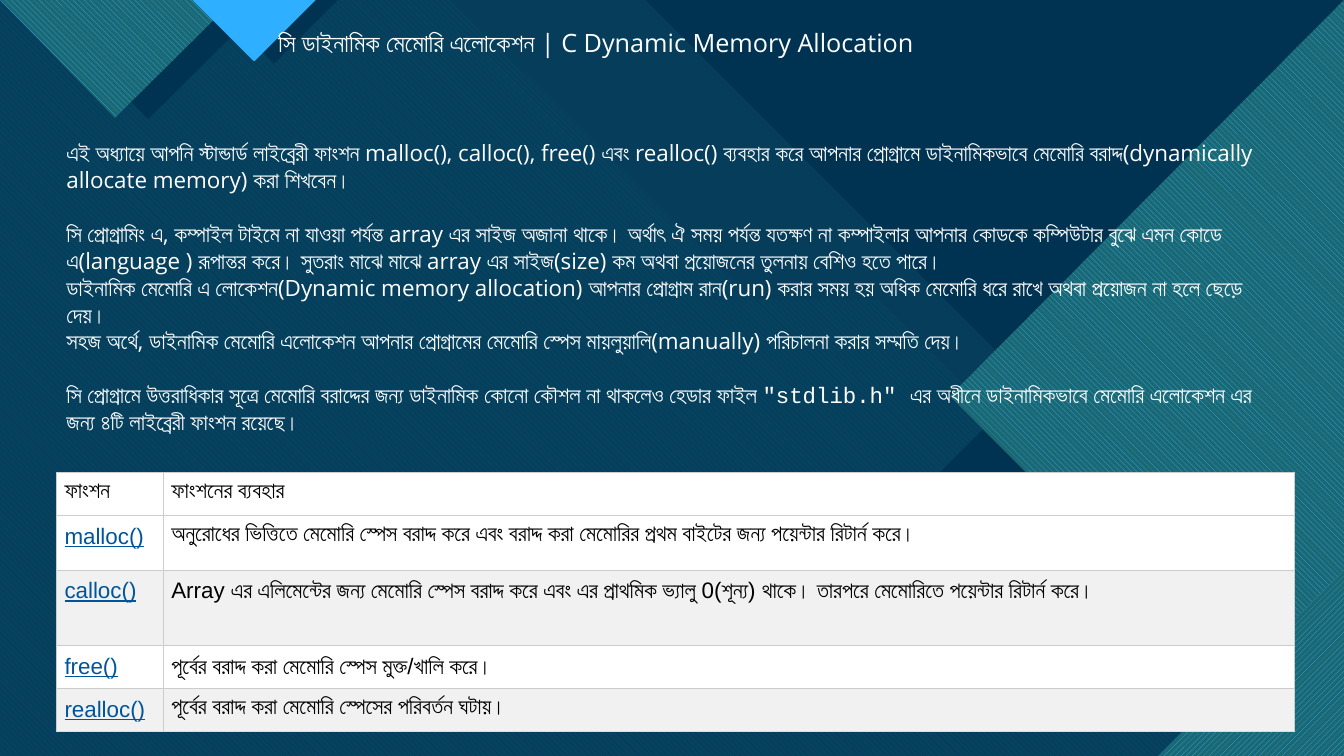
from lxml import etree
from pptx import Presentation
from pptx.dml.color import RGBColor
from pptx.enum.dml import MSO_PATTERN as Pattern
from pptx.enum.text import MSO_ANCHOR as Anchor, MSO_AUTO_SIZE as AutoSize
from pptx.oxml.ns import qn
from pptx.util import Inches, Pt

THEME = {
    "navy": "003352", "ocean": "0C4360", "aqua": "47C3D3", "blue": "0065A4",
    "sky": "2FAFFF", "teal": "1B6872", "white": "FFFFFF", "black": "000000",
    "link": "00559A", "band": "F1F1F1", "border": "CCCCCC", "last_border": "DDDDDD",
    "title_size": 18, "text_size": 16, "border_width": 0.75,
    "text_font": "Open Sans", "code_font": "Courier New", "table_font": "Arial",
}


def color(name):
    return RGBColor.from_string(THEME[name])


def write(para, text, font, size, ink, underline=None):
    span = para.add_run()
    span.text = text
    looks = {"name": THEME[font], "size": Pt(THEME[size]), "underline": underline}
    for key, value in looks.items():
        setattr(span.font, key, value)
    span.font.color.rgb = color(ink)


deck = Presentation()
deck.slide_width, deck.slide_height = Inches(13.33), Inches(7.5)
page = deck.slides.add_slide(deck.slide_layouts[6])
page.background.fill.solid()
page.background.fill.fore_color.rgb = color("ocean")

down, up, rows_across = Pattern.WIDE_DOWNWARD_DIAGONAL, Pattern.WIDE_UPWARD_DIAGONAL, Pattern.DARK_HORIZONTAL
backdrop = [
    ([(0, 0), (8.26, 0), (11.23, 2.97), (12.35, 2.97), (13.33, 3.96), (13.33, 7.5), (0, 7.5)],
     "aqua", None, None, 74),
    ([(0, 0), (4.49, 0), (7.46, 2.97), (8.72, 2.97), (13.25, 7.5), (0, 7.5)],
     "blue", "aqua", down, None),
    ([(6.4, 0), (13.33, 0), (13.33, 6.93)], "navy", None, None, None),
    ([(0, 0), (6.95, 0), (9.92, 2.97), (11.18, 2.97), (13.33, 5.13), (13.33, 7.5), (0, 7.5)],
     "navy", None, None, 90),
    ([(13.33, 0.68), (13.33, 7.5), (11.95, 7.5), (9.23, 4.78)], "navy", None, None, None),
    ([(13.33, 0), (13.33, 7.5), (12.99, 7.5), (9.42, 3.93)], "sky", "teal", down, None),
    ([(13.33, 6.14), (13.33, 7.5), (11.97, 7.5)], "navy", None, None, None),
    ([(13.33, 5.66), (13.33, 7.5), (11.49, 7.5)], "sky", "teal", up, None),
    ([(2.66, 0), (1.47, 1.18), (0.29, 0)], "navy", None, None, None),
    ([(0, 0), (1.14, 1.17), (2.32, 0)], "sky", "teal", down, None),
    ([(3.35, 0), (2.72, 0.63), (2.09, 0)], "navy", None, None, None),
    ([(1.91, 0), (2.52, 0.61), (3.13, 0)], "sky", "teal", rows_across, None),
]
for points, front, back, pattern, opacity in backdrop:
    corners = [(Inches(x), Inches(y)) for x, y in points]
    builder = page.shapes.build_freeform(*corners[0])
    builder.add_line_segments(corners[1:], close=True)
    panel = builder.convert_to_shape()
    panel.shadow.inherit = False
    panel.line.fill.background()
    if pattern:
        panel.fill.patterned()
        panel.fill.pattern = pattern
        panel.fill.back_color.rgb = color(back)
    else:
        panel.fill.solid()
    panel.fill.fore_color.rgb = color(front)
    if opacity:
        tint = panel.fill._xPr.find(".//" + qn("a:srgbClr"))
        etree.SubElement(tint, qn("a:alpha"), val=str(opacity * 1000))

title = [(0, [("সি ডাইনামিক মেমোরি এলোকেশন | C Dynamic Memory Allocation", "text_font")])]
lesson = [
    (0, [("এই অধ্যায়ে আপনি স্টান্ডার্ড লাইব্রেরী ফাংশন malloc(), calloc(), free() এবং realloc() ব্যবহার করে আপনার প্রোগ্রামে ডাইনামিকভাবে মেমোরি বরাদ্দ(dynamically allocate memory) করা শিখবেন।", "text_font")]),
    (19.3, [("সি প্রোগ্রামিং এ, কম্পাইল টাইমে না যাওয়া পর্যন্ত array এর সাইজ অজানা থাকে। অর্থাৎ ঐ সময় পর্যন্ত যতক্ষণ না কম্পাইলার আপনার কোডকে কম্পিউটার বুঝে এমন কোডে এ(language ) রূপান্তর করে। সুতরাং মাঝে মাঝে array এর সাইজ(size) কম অথবা প্রয়োজনের তুলনায় বেশিও হতে পারে।", "text_font")]),
    (0, [("ডাইনামিক মেমোরি এ লোকেশন(Dynamic memory allocation) আপনার প্রোগ্রাম রান(run) করার সময় হয় অধিক মেমোরি ধরে রাখে অথবা প্রয়োজন না হলে ছেড়ে দেয়।", "text_font")]),
    (0, [("সহজ অর্থে, ডাইনামিক মেমোরি এলোকেশন আপনার প্রোগ্রামের মেমোরি স্পেস মায়লুয়ালি(manually) পরিচালনা করার সম্মতি দেয়।", "text_font")]),
    (19.3, [("সি প্রোগ্রামে উত্তরাধিকার সূত্রে মেমোরি বরাদ্দের জন্য ডাইনামিক কোনো কৌশল না থাকলেও হেডার ফাইল ", "text_font"),
            ("\"stdlib.h\" ", "code_font"),
            ("এর অধীনে ডাইনামিকভাবে মেমোরি এলোকেশন এর জন্য ৪টি লাইব্রেরী ফাংশন রয়েছে।", "text_font")]),
]
text_boxes = [
    ((2.66, 0.22, 7.47, 0.4), Anchor.TOP, "title_size", title),
    ((0.56, 1.05, 12.28, 3.6), Anchor.MIDDLE, "text_size", lesson),
]
for place, anchor, size, paragraphs in text_boxes:
    box = page.shapes.add_textbox(*map(Inches, place))
    frame_format = {"word_wrap": True, "auto_size": AutoSize.SHAPE_TO_FIT_TEXT, "vertical_anchor": anchor}
    for key, value in frame_format.items():
        setattr(box.text_frame, key, value)
    for index, (gap, spans) in enumerate(paragraphs):
        para = box.text_frame.add_paragraph() if index else box.text_frame.paragraphs[0]
        para.space_before = Pt(gap)
        for text, font in spans:
            write(para, text, font, size, "white")

functions = [
    ("ফাংশন", "ফাংশনের ব্যবহার", 0.42, "white"),
    ("malloc()", "অনুরোধের ভিত্তিতে মেমোরি স্পেস বরাদ্দ করে এবং বরাদ্দ করা মেমোরির প্রথম বাইটের জন্য পয়েন্টার রিটার্ন করে।", 0.54, "white"),
    ("calloc()", "Array এর এলিমেন্টের জন্য মেমোরি স্পেস বরাদ্দ করে এবং এর প্রাথমিক ভ্যালু 0(শূন্য) থাকে। তারপরে মেমোরিতে পয়েন্টার রিটার্ন করে।", 0.75, "band"),
    ("free()", "পূর্বের বরাদ্দ করা মেমোরি স্পেস মুক্ত/খালি করে।", 0.42, "white"),
    ("realloc()", "পূর্বের বরাদ্দ করা মেমোরি স্পেসের পরিবর্তন ঘটায়।", 0.42, "band"),
]
table = page.shapes.add_table(len(functions), 2, Inches(0.56), Inches(4.69), Inches(12.28), Inches(2.55)).table
table.first_row = table.horz_banding = False
for column, width in zip(table.columns, (1.06, 11.22)):
    column.width = Inches(width)
for row, (name, use, height, fill) in enumerate(functions):
    table.rows[row].height = Inches(height)
    for column, text in enumerate((name, use)):
        cell = table.cell(row, column)
        for side in ("left", "right", "top", "bottom"):
            setattr(cell, "margin_" + side, Inches(0.08))
        for edge in "LRTB":
            border = etree.SubElement(cell._tc.get_or_add_tcPr(), qn("a:ln" + edge),
                                      w=str(Pt(THEME["border_width"])))
            paint = etree.SubElement(border, qn("a:solidFill"))
            is_last = edge == "B" and row == len(functions) - 1
            etree.SubElement(paint, qn("a:srgbClr"), val=THEME["last_border" if is_last else "border"])
        cell.fill.solid()
        cell.fill.fore_color.rgb = color(fill)
        is_link = row > 0 and column == 0
        write(cell.text_frame.paragraphs[0], text, "table_font", "text_size",
              "link" if is_link else "black", is_link or None)

deck.save("out.pptx")
